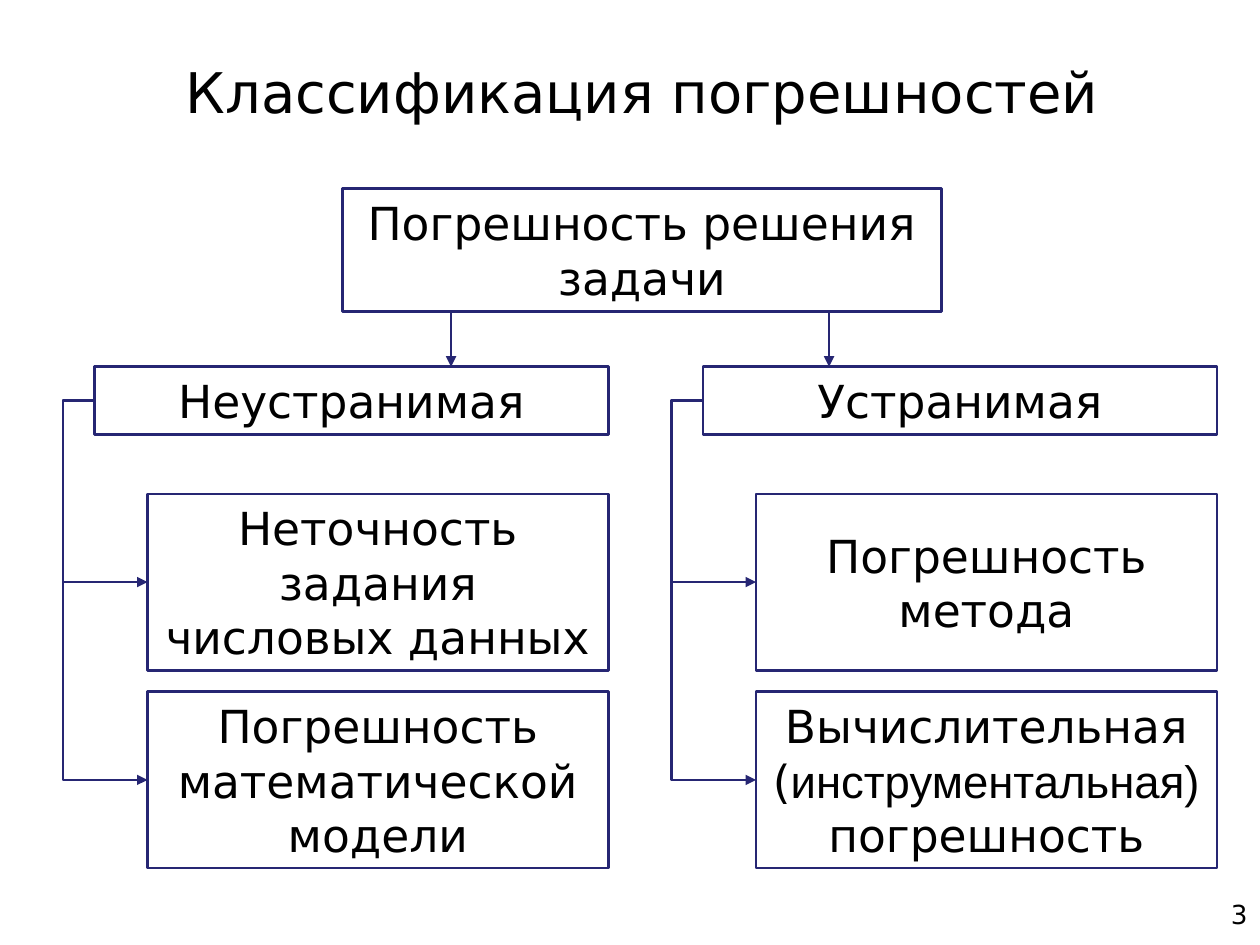
from lxml.etree import SubElement
from pptx import Presentation
from pptx.dml.color import RGBColor
from pptx.enum.shapes import MSO_CONNECTOR, MSO_SHAPE
from pptx.enum.text import MSO_ANCHOR, PP_ALIGN
from pptx.oxml.ns import qn
from pptx.util import Inches, Pt

COLORS = {"text": "000000", "box": "FFFFFF", "line": "262673"}
FONT = "DejaVu Sans"
BOTTOM, LEFT = 2, 1
HEADING_HEIGHT = 0.54
ITEM_INDENT = 0.42
ITEM_TOP = 1.01
ITEM_PITCH = 1.57
ITEM_HEIGHT = 1.4
ELBOW_REACH = 0.25


def color(name):
    return RGBColor.from_string(COLORS[name])


def write_text(shape, runs, size, alignment=PP_ALIGN.CENTER, anchor=MSO_ANCHOR.MIDDLE):
    frame = shape.text_frame
    frame.word_wrap = True
    frame.vertical_anchor = anchor
    paragraph = frame.paragraphs[0]
    paragraph.alignment = alignment
    for text, font in runs:
        run = paragraph.add_run()
        run.text = text
        run.font.name = font
        run.font.size = Pt(size)
        run.font.color.rgb = color("text")


def add_box(slide, left, top, width, height, runs, line_width=1.5):
    box = slide.shapes.add_shape(
        MSO_SHAPE.RECTANGLE, Inches(left), Inches(top), Inches(width), Inches(height))
    box.shadow.inherit = False
    box.fill.solid()
    box.fill.fore_color.rgb = color("box")
    box.line.color.rgb = color("line")
    box.line.width = Pt(line_width)
    write_text(box, runs, 26)
    return box


def add_arrow(slide, kind, start, end):
    arrow = slide.shapes.add_connector(kind, *(Inches(value) for value in start + end))
    arrow.line.color.rgb = color("line")
    arrow.line.width = Pt(1.5)
    SubElement(arrow.line._get_or_add_ln(), qn("a:tailEnd"), type="triangle")
    SubElement(arrow._element.spPr, qn("a:effectLst"))
    return arrow


def add_elbow(slide, heading, item, start, end):
    arrow = add_arrow(slide, MSO_CONNECTOR.ELBOW, start, end)
    arrow.begin_connect(heading, LEFT)
    arrow.end_connect(item, LEFT)
    bend = round(-ELBOW_REACH / ITEM_INDENT * 100000)
    guides = arrow._element.spPr.find(qn("a:prstGeom")).get_or_add_avLst()
    SubElement(guides, qn("a:gd"), name="adj1", fmla=f"val {bend}")


def add_title(slide, left, top, width, height):
    title = slide.shapes.title
    title.left, title.top = Inches(left), Inches(top)
    title.width, title.height = Inches(width), Inches(height)
    write_text(title, [("Классификация погрешностей", FONT)], 32, anchor=MSO_ANCHOR.TOP)


def add_branch(slide, left, top, width, heading_text, items):
    heading = add_box(slide, left, top, width, HEADING_HEIGHT, [(heading_text, FONT)])
    start = (left, top + HEADING_HEIGHT / 2)
    item_left = left + ITEM_INDENT
    for index, runs in enumerate(items):
        item_top = top + ITEM_TOP + index * ITEM_PITCH
        item = add_box(slide, item_left, item_top, width - ITEM_INDENT, ITEM_HEIGHT, runs)
        add_elbow(slide, heading, item, start, (item_left, item_top + ITEM_HEIGHT / 2))


def add_root(slide, left, top, width, height, arrow_positions, arrow_end):
    add_box(slide, left, top, width, height, [("Погрешность решения задачи", FONT)], 1.75)
    for x in arrow_positions:
        add_arrow(slide, MSO_CONNECTOR.STRAIGHT, (x, top + height), (x, arrow_end))


def add_page_number(slide, left, top, width, height):
    number = slide.shapes.add_textbox(
        Inches(left), Inches(top), Inches(width), Inches(height))
    write_text(number, [("3", FONT)], 15, PP_ALIGN.RIGHT, MSO_ANCHOR.TOP)


def main():
    presentation = Presentation()
    presentation.slide_width, presentation.slide_height = Inches(10), Inches(7.5)
    slide = presentation.slides.add_slide(presentation.slide_layouts[5])
    add_title(slide, 0.1, 0.41, 10, 0.64)
    add_root(slide, 2.72, 1.5, 4.75, 0.97, (3.58, 6.58), 2.91)
    add_branch(slide, 0.75, 2.91, 4.08, "Неустранимая", [
        [("Неточность задания числовых данных", FONT)],
        [("Погрешность математической модели", FONT)],
    ])
    add_branch(slide, 5.58, 2.91, 4.08, "Устранимая", [
        [("Погрешность метода", FONT)],
        [("Вычислительная (", FONT), ("инструментальная)", "Arial"), (" погрешность", FONT)],
    ])
    add_page_number(slide, 7.67, 7.08, 2.33, 0.42)
    presentation.save("out.pptx")


if __name__ == "__main__":
    main()
